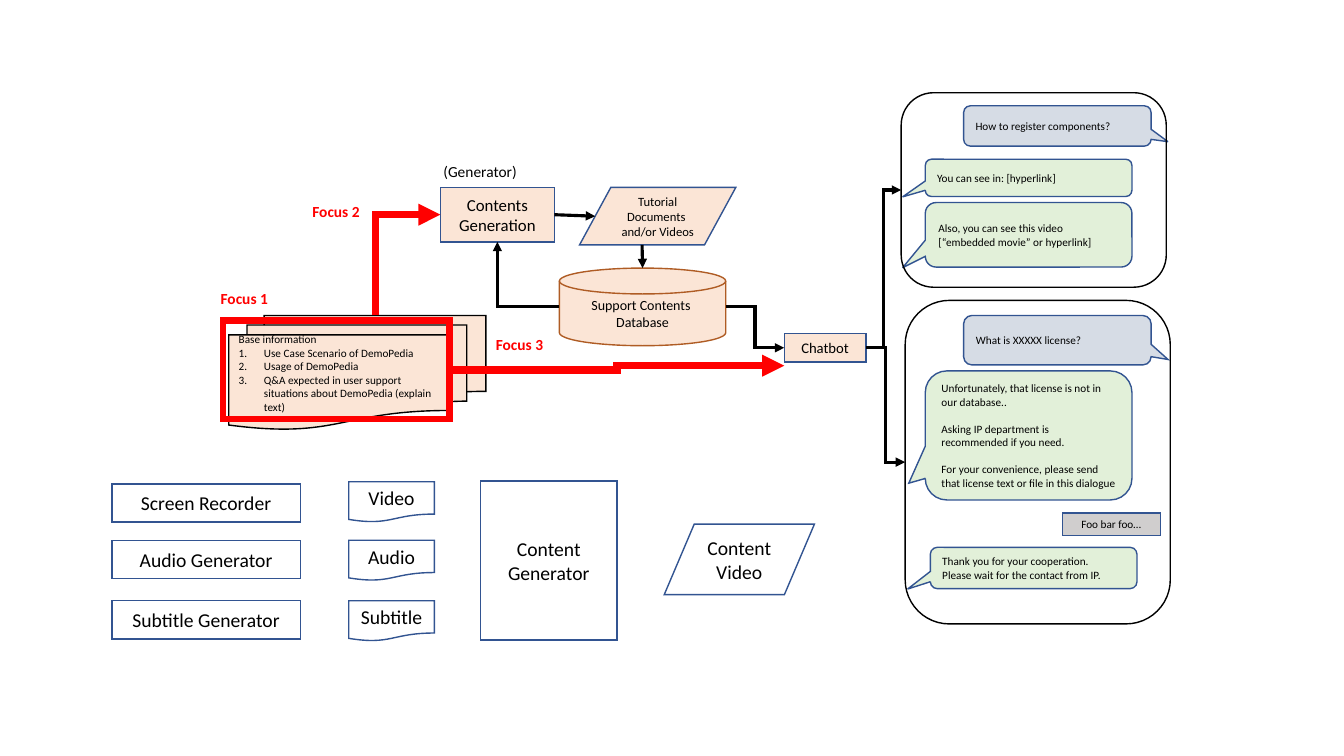
from lxml.etree import SubElement
from pptx import Presentation
from pptx.dml.color import RGBColor
from pptx.enum.shapes import MSO_CONNECTOR as Line, MSO_SHAPE as Preset
from pptx.enum.text import MSO_ANCHOR as Anchor, PP_ALIGN as Align
from pptx.oxml.ns import qn
from pptx.util import Inches, Pt

WIDTH, HEIGHT = Inches(13.33), Inches(7.5)
COL, ROW = WIDTH / 160, HEIGHT / 90
PEACH, GREEN, BLUE, GREY = "FBE5D6", "E2F0D9", "D6DCE5", "D0CECE"
BLACK, RED, NAVY, BROWN = "000000", "FF0000", "325491", "AF5C24"
TOP, LEFT, BOTTOM, RIGHT = range(4)
DISK_LEFT, DISK_RIGHT = 2, 4
USER_TAIL, BOT_TAIL, LONG_TAIL = (0.59, 0.39), (-0.61, 0.51), (-0.58, 0.37)


def color(hex_code):
    """Turn a hex string into a colour."""
    return RGBColor.from_string(hex_code)


def place(box, x, y, w, h):
    """Return the position and size of a part, given in columns and rows of its box."""
    left, top = box
    return [round(n) for n in ((left + x) * COL, (top + y) * ROW, w * COL, h * ROW)]


def write(shape, lines, size, align=Align.LEFT, ink=BLACK, bold=False, gap=0):
    """Write one paragraph per line into a shape."""
    frame = shape.text_frame
    for index, line in enumerate(lines):
        paragraph = frame.paragraphs[0] if index == 0 else frame.add_paragraph()
        paragraph.alignment = align
        if index:
            paragraph.space_before = Pt(gap)
        run = paragraph.add_run()
        run.text = line
        style = {"name": "Calibri", "size": Pt(size), "bold": bold}
        for key, value in style.items():
            setattr(run.font, key, value)
        run.font.color.rgb = color(ink)


def outline(line, ink, weight):
    """Give a line its colour, weight and sharp corners, and return its element."""
    line.color.rgb = color(ink)
    line.width = Pt(weight)
    element = line._get_or_add_ln()
    SubElement(element, qn("a:miter"), lim="800000")
    return element


def node(slide, preset, spot, lines=(), size=8, fill=None, line=NAVY, weight=1,
         align=Align.CENTER, gap=0):
    """Draw an outlined shape with text in its middle."""
    shape = slide.shapes.add_shape(preset, *spot)
    shape.shadow.inherit = False
    if fill:
        shape.fill.solid()
        shape.fill.fore_color.rgb = color(fill)
    else:
        shape.fill.background()
    outline(shape.line, line, weight)
    shape.text_frame.word_wrap = True
    shape.text_frame.vertical_anchor = Anchor.MIDDLE
    write(shape, lines, size, align, gap=gap)
    return shape


def label(slide, spot, text, ink=BLACK, bold=False):
    """Place a single line of free text."""
    caption = slide.shapes.add_textbox(*spot)
    caption.text_frame.word_wrap = False
    write(caption, [text], 11, ink=ink, bold=bold)


def number(paragraphs):
    """Turn paragraphs into a numbered list."""
    for paragraph in paragraphs:
        props = paragraph._p.get_or_add_pPr()
        props.set("marL", str(Inches(0.25)))
        props.set("indent", str(-Inches(0.25)))
        SubElement(props, qn("a:buAutoNum"), type="arabicPeriod")


def spot_on(shape, across, down):
    """Return the point at a share of a shape's width and height."""
    return round(shape.left + across * shape.width), round(shape.top + down * shape.height)


def link(slide, start, end, kind=Line.ELBOW, preset=None, ink=BLACK, weight=2.25, head="tailEnd"):
    """Draw an arrow between two ends, each a shape, two shares and a site or None."""
    begin_point, end_point = spot_on(*start[:3]), spot_on(*end[:3])
    arrow = slide.shapes.add_connector(kind, *begin_point, *end_point)
    joins = ((start, arrow.begin_connect, "stCxn"), (end, arrow.end_connect, "endCxn"))
    for (shape, _, _, site), connect, tag in joins:
        if site is not None:
            connect(shape, TOP)
            arrow._element.xpath(f".//a:{tag}")[0].set("idx", str(site))
    arrow.begin_x, arrow.begin_y = begin_point
    arrow.end_x, arrow.end_y = end_point
    SubElement(outline(arrow.line, ink, weight), qn(f"a:{head}"), type="triangle")
    props = arrow._element.spPr
    SubElement(props, qn("a:effectLst"))
    if preset:
        props.find(qn("a:prstGeom")).set("prst", preset)


def generation_flow(slide, box):
    """Draw the flow from base information to the chatbot, and return the chatbot."""
    base = node(slide, Preset.FLOWCHART_MULTIDOCUMENT, place(box, 2.24, 19.56, 30.6, 13.56),
                ["Base information", "Use Case Scenario of DemoPedia", "Usage of DemoPedia",
                 "Q&A expected in user support situations about DemoPedia (explain text)"],
                fill=PEACH, line=BLACK, align=Align.LEFT)
    base.text_frame.margin_bottom = Pt(13.4)
    number(base.text_frame.paragraphs[1:])
    database = node(slide, Preset.FLOWCHART_MAGNETIC_DISK, place(box, 41.6, 13.92, 19.8, 9.24),
                    ["Support Contents ", "Database"], 10, PEACH, BROWN)
    contents = node(slide, Preset.FLOWCHART_PROCESS, place(box, 27.44, 4.32, 13.56, 6.48),
                    ["Contents Generation"], 12, PEACH)
    tutorial = node(slide, Preset.FLOWCHART_DATA, place(box, 44, 4.32, 18.6, 6.84),
                    ["Tutorial", "Documents ", "and/or Videos "], 9, PEACH)
    chatbot = node(slide, Preset.FLOWCHART_PROCESS, place(box, 68.36, 21.72, 9.72, 3.36),
                   ["Chatbot"], 10.5, PEACH)

    link(slide, (database, 0, 0.5, DISK_LEFT), (contents, 0.5, 1, BOTTOM),
         preset="bentConnector2")
    link(slide, (tutorial, 0.4, 1, None), (database, 0.5, 0, None), Line.STRAIGHT)
    link(slide, (contents, 1, 0.5, RIGHT), (tutorial, 0.1, 0.5, None), Line.STRAIGHT)
    link(slide, (database, 1, 0.5, DISK_RIGHT), (chatbot, 0, 0.5, LEFT))
    link(slide, (contents, 0, 0.5, LEFT), (base, 0.57, 0, TOP), preset="bentConnector2",
         ink=RED, weight=5.25, head="headEnd")
    focus = node(slide, Preset.RECTANGLE, place(box, 1.52, 20.16, 27, 11.76),
                 line=RED, weight=4.5)
    link(slide, (focus, 1, 0.5, RIGHT), (chatbot, 0, 1.14, None), ink=RED, weight=5.25)

    label(slide, place(box, 26.6, 0.72, 11.76, 3.48), "(Generator)")
    for text, x, y in (("Focus 1", 0.08, 15.84), ("Focus 2", 11, 5.52),
                       ("Focus 3", 32.84, 21.36)):
        label(slide, place(box, x, y, 8.88, 3.48), text, RED, True)
    return chatbot


def chat(slide, box, height, bubbles, chatbot):
    """Draw a chat window with its bubbles, joined to the chatbot."""
    for x, y, w, h, tail, fill, lines, gap in bubbles:
        bubble = node(slide, Preset.ROUNDED_RECTANGULAR_CALLOUT, place(box, x, y, w, h),
                      lines, fill=fill, align=Align.LEFT, gap=gap)
        bubble.adjustments[0], bubble.adjustments[1] = tail
    window = node(slide, Preset.ROUNDED_RECTANGLE, place(box, 0, 0, 31.56, height), line=BLACK)
    link(slide, (chatbot, 1, 0.5, RIGHT), (window, 0, 0.5, LEFT))


def video_tools(slide, box):
    """Draw the generators, their outputs and the resulting content video."""
    rows = (("Screen Recorder", 0.36, "Video", 0.12),
            ("Audio Generator", 7.08, "Audio", 7.08),
            ("Subtitle Generator", 14.28, "Subtitle", 14.28))
    for tool, tool_y, output, output_y in rows:
        node(slide, Preset.RECTANGLE, place(box, 0, tool_y, 22.44, 4.56), [tool], 14)
        node(slide, Preset.FLOWCHART_DOCUMENT, place(box, 28.2, output_y, 10.2, 4.8),
             [output], 14)
    node(slide, Preset.RECTANGLE, place(box, 43.92, 0, 16.2, 18.96), ["Content Generator"], 14)
    node(slide, Preset.FLOWCHART_DATA, place(box, 65.76, 5.16, 17.88, 8.4),
         ["Content Video"], 14)


def main():
    """Build and save the slide."""
    deck = Presentation()
    deck.slide_width, deck.slide_height = WIDTH, HEIGHT
    slide = deck.slides.add_slide(deck.slide_layouts[6])
    chatbot = generation_flow(slide, (25, 18))
    chat(slide, (107.28, 11.04), 23.16, [
        (2.88, 7.92, 24.6, 4.44, BOT_TAIL, GREEN, ["You can see in: [hyperlink]"], 0),
        (7.44, 1.56, 22.32, 4.8, USER_TAIL, BLUE, ["How to register components?"], 0),
        (2.88, 13.08, 24.6, 7.68, BOT_TAIL, GREEN,
         ["Also, you can see this video", "[“embedded movie” or hyperlink]"], 0),
    ], chatbot)
    license_chat = (107.76, 35.76)
    chat(slide, license_chat, 38.52, [
        (2.4, 8.4, 24.6, 15.36, LONG_TAIL, GREEN,
         ["Unfortunately, that license is not in our database..",
          "Asking IP department is recommended if you need.",
          "For your convenience, please send that license text or file in this dialogue"], 9.75),
        (6.96, 1.8, 22.32, 5.88, USER_TAIL, BLUE, ["What is XXXXX license?"], 0),
        (3, 29.4, 24.6, 4.92, BOT_TAIL, GREEN,
         ["Thank you for your cooperation.", "Please wait for the contact from IP."], 0),
    ], chatbot)
    node(slide, Preset.FLOWCHART_PROCESS, place(license_chat, 18.72, 25.32, 11.64, 2.64),
         ["Foo bar foo…"], fill=GREY)
    video_tools(slide, (13.32, 57.24))
    deck.save("out.pptx")


if __name__ == "__main__":
    main()
